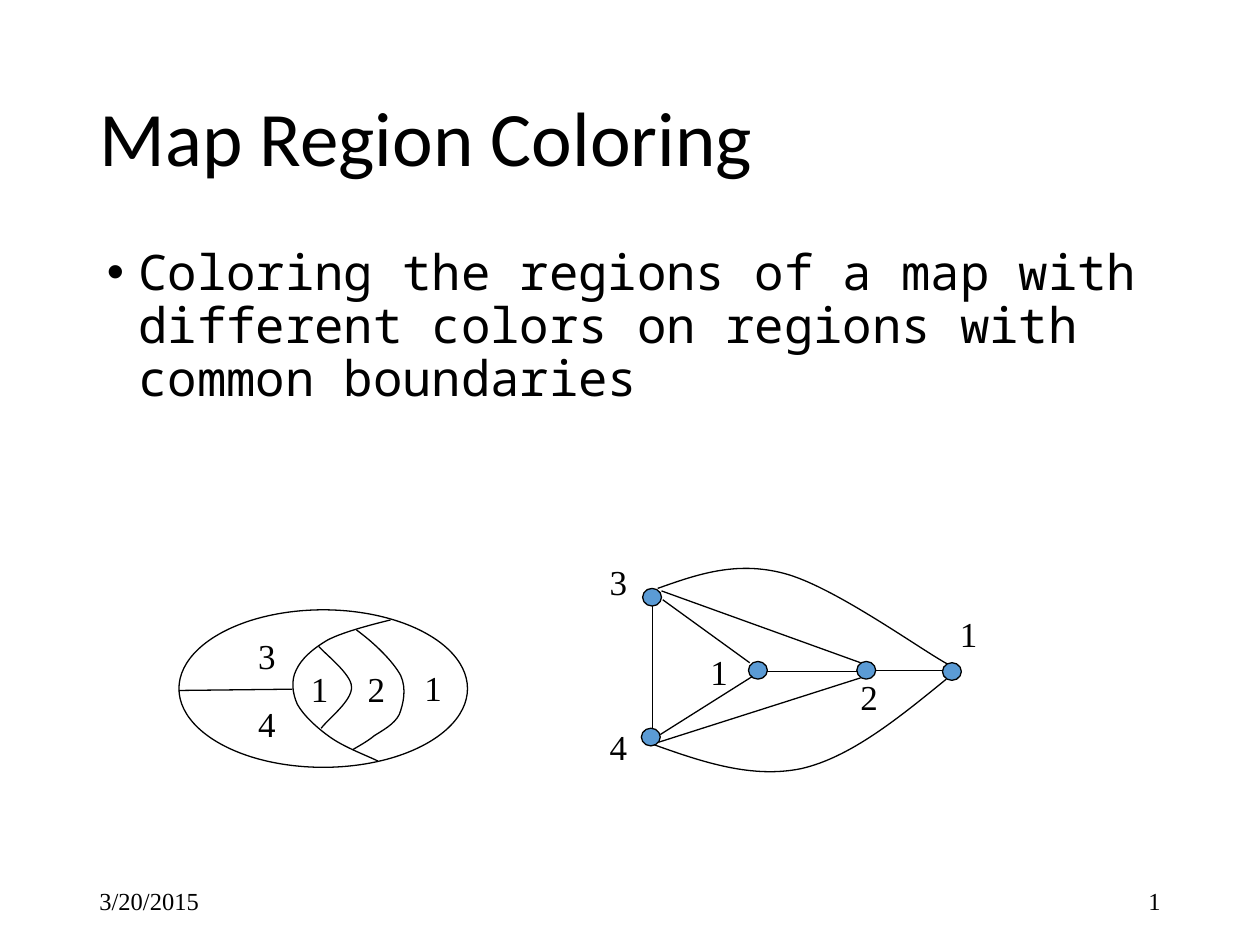
from typing import NamedTuple

from lxml.etree import SubElement
from pptx import Presentation
from pptx.dml.color import RGBColor
from pptx.enum.shapes import MSO_CONNECTOR, MSO_SHAPE
from pptx.enum.text import MSO_ANCHOR, PP_ALIGN
from pptx.oxml.ns import qn
from pptx.util import Inches, Pt

COLORS = {"ink": "000000", "node": "5B9BD5"}
SERIF = "Times New Roman"


class Label(NamedTuple):
    text: str
    left: float
    top: float


class Edge(NamedTuple):
    x1: float
    y1: float
    x2: float
    y2: float


Point = tuple[float, float]

RIM = (1.42, 4.84, 2.29, 1.25)
BORDERS: list[list[Point]] = [
    [(3.1, 4.92), (3.02, 4.94), (2.73, 5.01), (2.6, 5.08),
     (2.48, 5.15), (2.39, 5.23), (2.35, 5.32),
     (2.31, 5.4), (2.32, 5.5), (2.36, 5.59),
     (2.41, 5.68), (2.52, 5.78), (2.62, 5.85),
     (2.73, 5.93), (2.92, 6), (3, 6.04)],
    [(2.53, 5.13), (2.57, 5.18), (2.79, 5.35), (2.79, 5.45),
     (2.8, 5.56), (2.6, 5.71), (2.55, 5.78)],
    [(2.83, 5), (2.98, 5.11), (3.12, 5.25), (3.18, 5.36),
     (3.23, 5.47), (3.2, 5.59), (3.17, 5.67),
     (3.13, 5.75), (3.03, 5.8), (2.97, 5.84),
     (2.91, 5.89), (2.83, 5.93), (2.8, 5.95)],
]
SPLIT = Edge(1.42, 5.48, 2.32, 5.47)
REGIONS = [
    Label("3", 1.95, 4.99), Label("4", 1.95, 5.53), Label("1", 2.37, 5.25),
    Label("2", 2.82, 5.25), Label("1", 3.27, 5.24),
]

NODES: list[Point] = [(5.1, 4.67), (5.09, 5.78), (5.94, 5.25), (6.8, 5.25), (7.48, 5.26)]
EDGES = [
    Edge(5.18, 4.81, 5.18, 5.78), Edge(5.24, 5.83, 5.97, 5.37),
    Edge(5.26, 4.76, 5.95, 5.26), Edge(6.09, 5.33, 6.81, 5.33),
    Edge(6.95, 5.32, 7.48, 5.32), Edge(5.25, 4.69, 6.83, 5.26),
    Edge(5.23, 5.89, 6.83, 5.38),
]
ARCS: list[list[Point]] = [
    [(5.22, 4.67), (5.53, 4.56), (5.84, 4.45), (6.22, 4.55),
     (6.61, 4.65), (7.3, 5.15), (7.52, 5.27)],
    [(5.19, 5.91), (5.58, 6.05), (5.97, 6.18), (6.36, 6.1),
     (6.75, 6.01), (7.13, 5.7), (7.51, 5.39)],
]
TAGS = [
    Label("3", 4.74, 4.4), Label("4", 4.74, 5.71), Label("1", 5.54, 5.11),
    Label("2", 6.73, 5.31), Label("1", 7.52, 4.81),
]


def color(name: str) -> RGBColor:
    return RGBColor.from_string(COLORS[name])


def ink(item) -> None:
    item.line.color.rgb = color("ink")
    item.line.width = Pt(0.75)


def write(shapes, text: str, box: tuple, size: float, font: str = SERIF,
          anchor=MSO_ANCHOR.TOP, align=PP_ALIGN.LEFT, space: float = 1,
          bullet: str = "") -> None:
    frame = shapes.add_textbox(*map(Inches, box)).text_frame
    frame.word_wrap = True
    frame.vertical_anchor = anchor
    para = frame.paragraphs[0]
    para.alignment = align
    para.line_spacing = space
    if bullet:
        props = para._p.get_or_add_pPr()
        props.set("marL", str(Inches(0.25)))
        props.set("indent", str(-Inches(0.25)))
        SubElement(props, qn("a:buFont")).set("typeface", "Arial")
        SubElement(props, qn("a:buChar")).set("char", bullet)
    run = para.add_run()
    run.text = text
    run.font.size = Pt(size)
    run.font.name = font
    run.font.color.rgb = color("ink")


def oval(shapes, box: tuple, fill: str = "") -> None:
    item = shapes.add_shape(MSO_SHAPE.OVAL, *map(Inches, box))
    item.shadow.inherit = False
    if fill:
        item.fill.solid()
        item.fill.fore_color.rgb = color(fill)
    else:
        item.fill.background()
    ink(item)


def link(shapes, edge: Edge) -> None:
    item = shapes.add_connector(MSO_CONNECTOR.STRAIGHT, *map(Inches, edge))
    SubElement(item._element.spPr, qn("a:effectLst"))
    ink(item)


def curve(shapes, knots: list[Point]) -> None:
    dots = [(Inches(x), Inches(y)) for x, y in knots]
    pen = shapes.build_freeform(*dots[0])
    pen.add_line_segments(dots[1:], close=False)
    item = pen.convert_to_shape()
    item.shadow.inherit = False
    item.fill.background()
    ink(item)
    track = next(item._element.iter(qn("a:path")))
    legs = track.findall(qn("a:lnTo"))
    for trio in zip(legs[::3], legs[1::3], legs[2::3]):
        bend = SubElement(track, qn("a:cubicBezTo"))
        for leg in trio:
            bend.append(leg[0])
            track.remove(leg)


def mark(shapes, label: Label) -> None:
    write(shapes, label.text, (label.left, label.top, 0.33, 0.43), 20)


def draw_map(shapes) -> None:
    oval(shapes, RIM)
    for knots in BORDERS:
        curve(shapes, knots)
    link(shapes, SPLIT)
    for label in REGIONS:
        mark(shapes, label)


def draw_graph(shapes) -> None:
    for node in NODES:
        oval(shapes, (*node, 0.15, 0.14), "node")
    for edge in EDGES:
        link(shapes, edge)
    for knots in ARCS:
        curve(shapes, knots)
    for label in TAGS:
        mark(shapes, label)


def main() -> None:
    deck = Presentation()
    deck.slide_width, deck.slide_height = Inches(10), Inches(7.5)
    shapes = deck.slides.add_slide(deck.slide_layouts[6]).shapes
    write(shapes, "3/20/2015", (0.69, 6.95, 2.25, 0.4), 14, anchor=MSO_ANCHOR.MIDDLE)
    write(shapes, "1", (7.06, 6.95, 2.25, 0.4), 14,
          anchor=MSO_ANCHOR.MIDDLE, align=PP_ALIGN.RIGHT)
    write(shapes, "Map Region Coloring", (0.69, 0.4, 8.62, 1.45), 44, "Calibri",
          anchor=MSO_ANCHOR.MIDDLE, space=0.9)
    write(shapes, "Coloring the regions of a map with different colors "
          "on regions with common boundaries",
          (0.75, 1.92, 8.5, 2.25), 28, "Noto Sans Mono", space=0.9, bullet="•")
    draw_map(shapes.add_group_shape().shapes)
    draw_graph(shapes.add_group_shape().shapes)
    deck.save("out.pptx")


if __name__ == "__main__":
    main()
